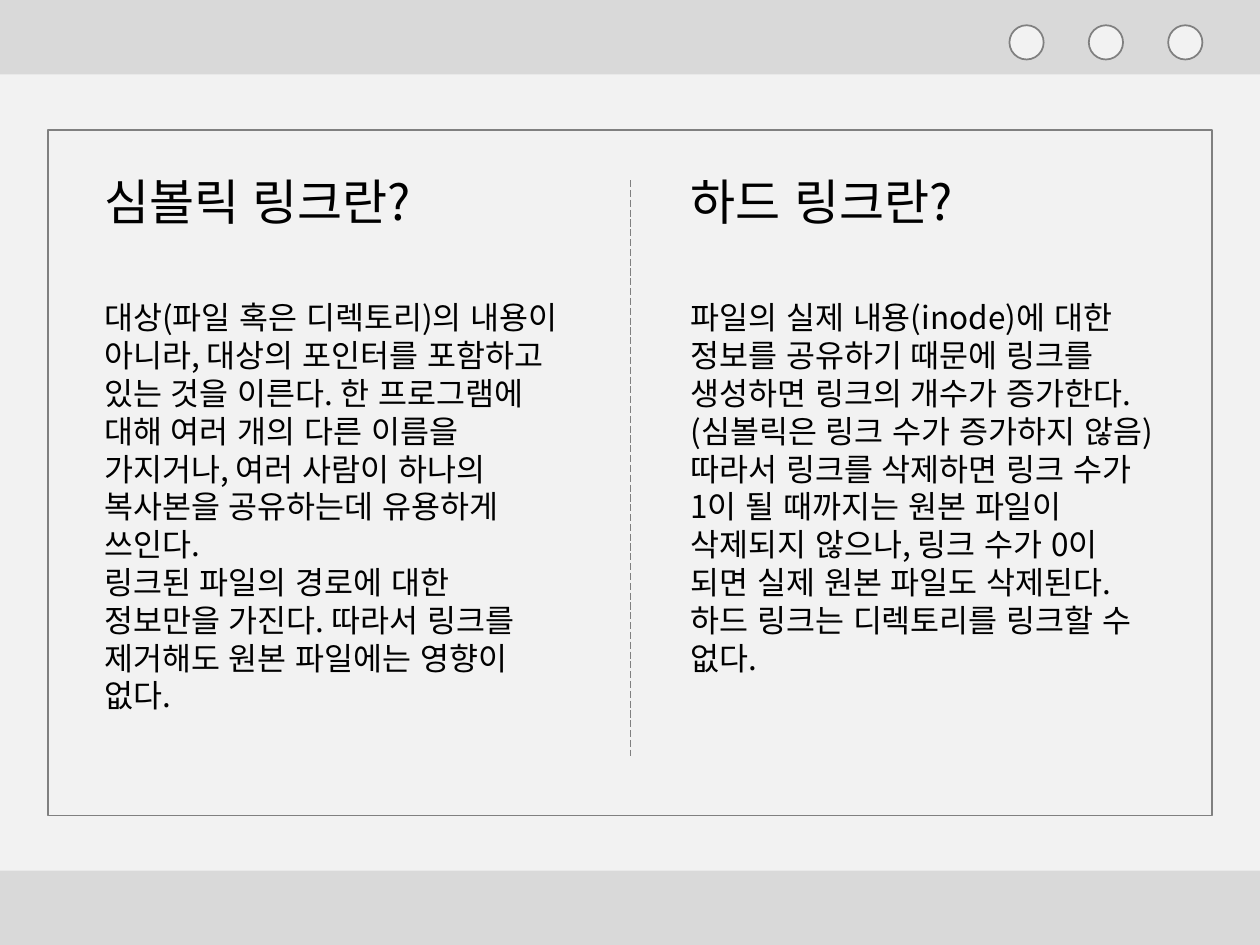
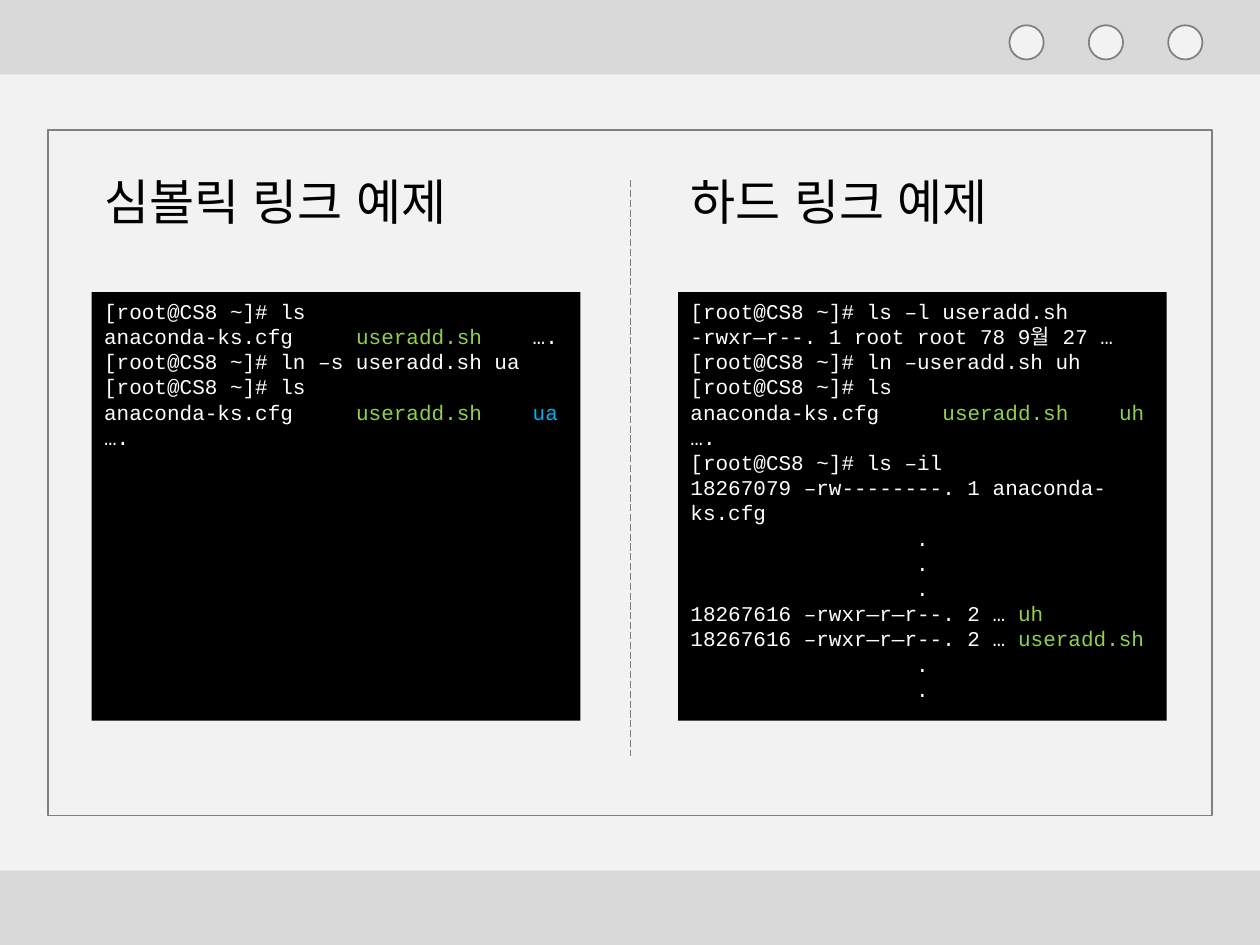
from lxml.etree import SubElement
from pptx import Presentation
from pptx.dml.color import RGBColor
from pptx.enum.dml import MSO_LINE
from pptx.enum.lang import MSO_LANGUAGE_ID
from pptx.enum.shapes import MSO_CONNECTOR, MSO_SHAPE
from pptx.enum.text import MSO_ANCHOR, MSO_AUTO_SIZE, PP_ALIGN
from pptx.oxml.ns import qn
from pptx.util import Cm, Pt

COLORS = {
    "paper": "F2F2F2", "band": "D9D9D9", "outline": "808080", "ink": "000000",
    "plain": "FFFFFF", "executable": "92D050", "symlink": "00B0F0",
}
KOREAN_FONT = "Noto Sans CJK KR"
TERMINAL_FONT = "Courier New"
SLIDE_WIDTH, SLIDE_HEIGHT = 25.4, 19.05
FRAME = (0.97, 2.62, 23.47, 13.82)
BAND_WIDTH, BAND_HEIGHT = 28.09, 1.5
COLUMN_LEFTS = (1.85, 13.67)
COLUMN_TOP, COLUMN_WIDTH = 3.33, 9.85
HEADING_HEIGHT, CONTENT_OFFSET = 1.45, 2.56
EXPLANATION_HEIGHT, TERMINAL_HEIGHT = 8.71, 8.64
LISTING_TABS = (5.08, 8.64)
LINE_HEIGHT = 1.2


def color(name):
    return RGBColor.from_string(COLORS[name])


def add_panel(slide, preset, box, fill, outline=None):
    panel = slide.shapes.add_shape(preset, *map(Cm, box))
    panel.shadow.inherit = False
    panel.fill.solid()
    panel.fill.fore_color.rgb = color(fill)
    if outline:
        panel.line.color.rgb = color(outline)
        panel.line.width = Pt(1)
    else:
        panel.line.fill.background()
    return panel


def add_run(paragraph, text, size, font, ink):
    run = paragraph.add_run()
    run.text = text
    run.font.size = Pt(size)
    run.font.name = font
    run.font.language_id = MSO_LANGUAGE_ID.KOREAN
    run.font.color.rgb = color(ink)
    SubElement(run.font._element, qn("a:ea"), typeface=font)


def write_paragraphs(frame, paragraphs, size, font):
    frame.word_wrap = True
    for index, runs in enumerate(paragraphs):
        paragraph = frame.paragraphs[0] if index == 0 else frame.add_paragraph()
        paragraph.alignment = PP_ALIGN.LEFT
        paragraph.line_spacing = Pt(size * LINE_HEIGHT)
        for text, ink in runs:
            add_run(paragraph, text, size, font, ink)


def add_korean_text(slide, box, texts, size):
    frame = slide.shapes.add_textbox(*map(Cm, box)).text_frame
    frame.auto_size = MSO_AUTO_SIZE.SHAPE_TO_FIT_TEXT
    write_paragraphs(frame, [[(text, "ink")] for text in texts], size, KOREAN_FONT)


def add_explanation(slide, left, top, texts):
    add_korean_text(slide, (left, top, COLUMN_WIDTH, EXPLANATION_HEIGHT), texts, 18)


def add_terminal(slide, left, top, lines):
    box = (left, top, COLUMN_WIDTH, TERMINAL_HEIGHT)
    frame = add_panel(slide, MSO_SHAPE.RECTANGLE, box, "ink").text_frame
    frame.vertical_anchor = MSO_ANCHOR.TOP
    write_paragraphs(frame, lines, 12, TERMINAL_FONT)
    for paragraph in frame.paragraphs:
        if paragraph.text == ".":
            paragraph.alignment = PP_ALIGN.CENTER
        elif "\t" in paragraph.text:
            tabs = SubElement(paragraph._p.get_or_add_pPr(), qn("a:tabLst"))
            for position in LISTING_TABS:
                SubElement(tabs, qn("a:tab"), pos=str(Cm(position)), algn="l")


def add_divider(slide, x, top, bottom):
    divider = slide.shapes.add_connector(
        MSO_CONNECTOR.STRAIGHT, Cm(x), Cm(top), Cm(x), Cm(bottom))
    divider.line.color.rgb = color("outline")
    divider.line.width = Pt(0.5)
    divider.line.dash_style = MSO_LINE.LONG_DASH
    SubElement(divider._element.spPr, qn("a:effectLst"))


def add_window(slide):
    slide.background.fill.solid()
    slide.background.fill.fore_color.rgb = color("paper")
    add_panel(slide, MSO_SHAPE.RECTANGLE, FRAME, "paper", "outline")
    for left, top in ((-1.07, SLIDE_HEIGHT - BAND_HEIGHT), (-1.35, 0)):
        add_panel(slide, MSO_SHAPE.RECTANGLE, (left, top, BAND_WIDTH, BAND_HEIGHT), "band")
    for button in range(3):
        box = (23.55 - 1.6 * button, 0.51, 0.69, 0.69)
        add_panel(slide, MSO_SHAPE.OVAL, box, "paper", "outline")


def add_comparison(deck, add_content, columns):
    slide = deck.slides.add_slide(deck.slide_layouts[6])
    add_window(slide)
    for left, (heading, content) in zip(COLUMN_LEFTS, columns):
        add_korean_text(slide, (left, COLUMN_TOP, COLUMN_WIDTH, HEADING_HEIGHT), [heading], 28)
        add_content(slide, left, COLUMN_TOP + CONTENT_OFFSET, content)
    add_divider(slide, SLIDE_WIDTH / 2, 3.63, 15.24)


def plain(text):
    return [(text, "plain")]


def prompt(command):
    return plain(f"[root@CS8 ~]# {command}")


def file_list(*names):
    return [("anaconda-ks.cfg\t", "plain"), *names]


def hard_link(name):
    return [("18267616 –rwxr—r—r--. 2 … ", "plain"), (name, "executable")]


DEFINITIONS = [
    ("심볼릭 링크란?", [
        "대상(파일 혹은 디렉토리)의 내용이 아니라, 대상의 포인터를 포함하고 있는 것을 이른다. "
        "한 프로그램에 대해 여러 개의 다른 이름을 가지거나, 여러 사람이 하나의 복사본을 "
        "공유하는데 유용하게 쓰인다.",
        "링크된 파일의 경로에 대한 정보만을 가진다. 따라서 링크를 제거해도 원본 파일에는 "
        "영향이 없다.",
    ]),
    ("하드 링크란?", [
        "파일의 실제 내용(inode)에 대한 정보를 공유하기 때문에 링크를 생성하면 링크의 개수가 "
        "증가한다.(심볼릭은 링크 수가 증가하지 않음)",
        "따라서 링크를 삭제하면 링크 수가 1이 될 때까지는 원본 파일이 삭제되지 않으나, "
        "링크 수가 0이 되면 실제 원본 파일도 삭제된다. 하드 링크는 디렉토리를 링크할 수 없다.",
    ]),
]
EXAMPLES = [
    ("심볼릭 링크 예제", [
        prompt("ls"),
        file_list(("useradd.sh", "executable"), ("\t….", "plain")),
        prompt("ln –s useradd.sh ua"),
        prompt("ls"),
        file_list(("useradd.sh\t", "executable"), ("ua", "symlink"), (" ….", "plain")),
    ]),
    ("하드 링크 예제", [
        prompt("ls –l useradd.sh"),
        plain("-rwxr—r--. 1 root root 78 9월 27 …"),
        prompt("ln –useradd.sh uh"),
        prompt("ls"),
        file_list(("useradd.sh\tuh ", "executable"), ("….", "plain")),
        prompt("ls –il"),
        plain("18267079 –rw--------. 1 anaconda-ks.cfg"),
        *[plain(".")] * 3,
        hard_link("uh"),
        hard_link("useradd.sh"),
        *[plain(".")] * 2,
    ]),
]

deck = Presentation()
deck.slide_width, deck.slide_height = Cm(SLIDE_WIDTH), Cm(SLIDE_HEIGHT)
add_comparison(deck, add_explanation, DEFINITIONS)
add_comparison(deck, add_terminal, EXAMPLES)
deck.save("out.pptx")
